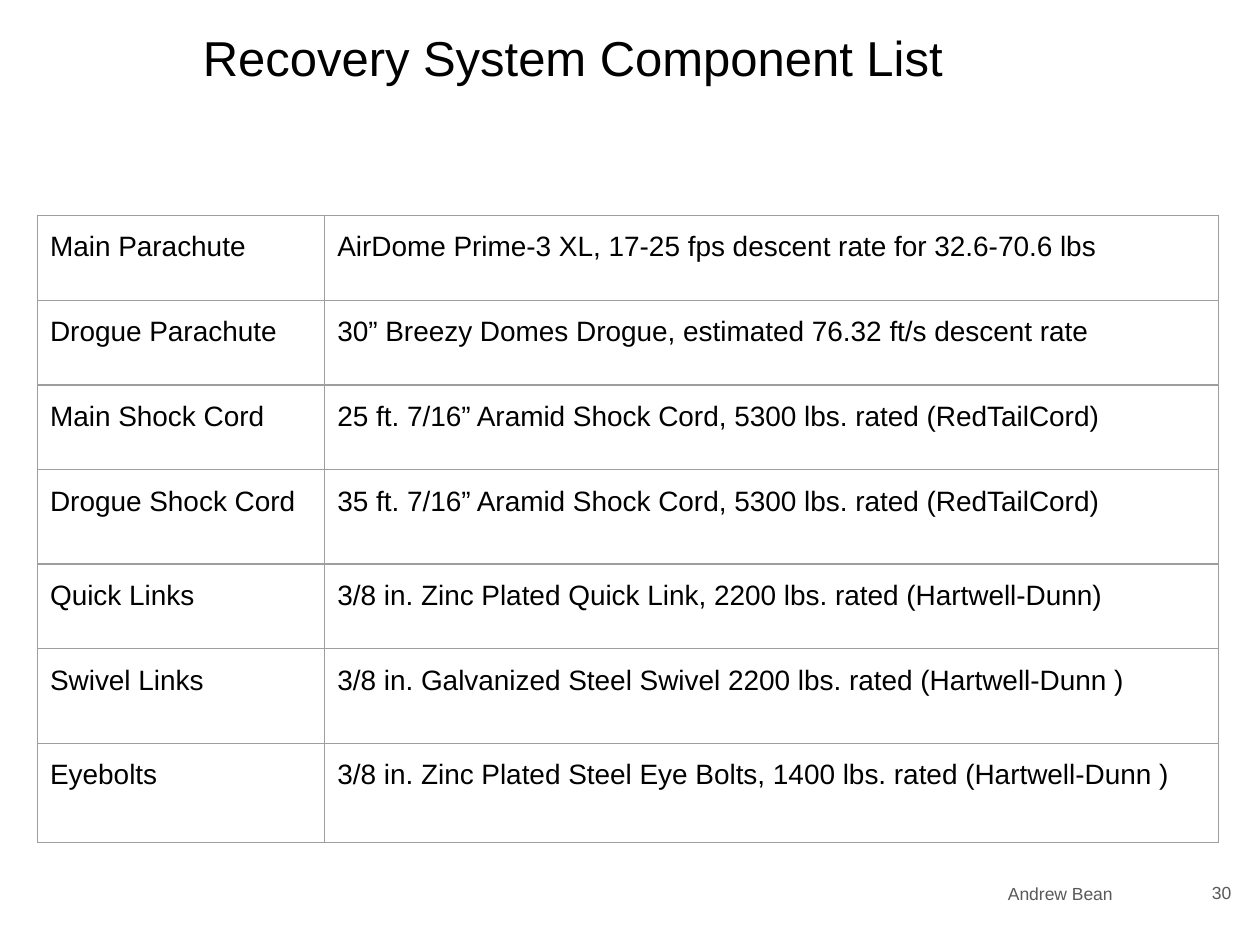
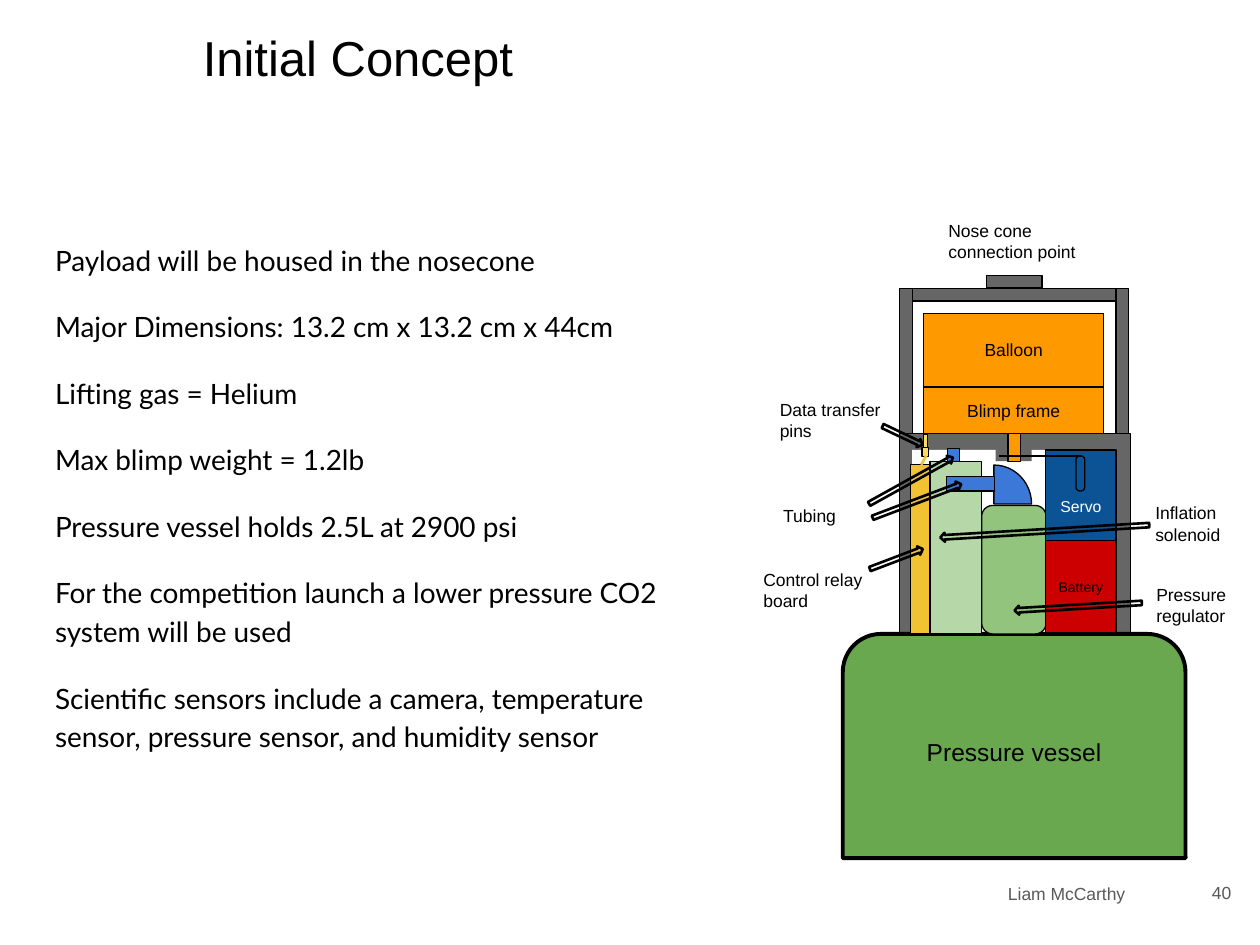
from dataclasses import dataclass
from typing import Optional

from lxml.etree import SubElement
from pptx import Presentation
from pptx.dml.color import RGBColor
from pptx.enum.shapes import MSO_CONNECTOR, MSO_SHAPE as Preset
from pptx.enum.text import MSO_ANCHOR as Anchor, PP_ALIGN as Align
from pptx.oxml.ns import qn
from pptx.util import Cm, Pt

# Colours
BLACK = RGBColor(0x00, 0x00, 0x00)
WHITE = RGBColor(0xFF, 0xFF, 0xFF)
FOOTER_GREY = RGBColor(0x59, 0x59, 0x59)
BORDER_GREY = RGBColor(0x9E, 0x9E, 0x9E)
STEEL = RGBColor(0x66, 0x66, 0x66)
VESSEL_GREEN = RGBColor(0x6A, 0xA8, 0x4F)
REGULATOR_GREEN = RGBColor(0x93, 0xC4, 0x7D)
SOLENOID_GREEN = RGBColor(0xB6, 0xD7, 0xA8)
TUBE_BLUE = RGBColor(0x3C, 0x78, 0xD8)
SERVO_BLUE = RGBColor(0x0B, 0x53, 0x94)
BATTERY_RED = RGBColor(0xCC, 0x00, 0x00)
ORANGE = RGBColor(0xFF, 0x99, 0x00)
RELAY_YELLOW = RGBColor(0xF1, 0xC2, 0x32)
PIN_YELLOW = RGBColor(0xFF, 0xD9, 0x66)

SANS, BODY = "Arial", "Lato"
INSET = Cm(0.25)
ARROW_HEIGHT = 0.18

Box = tuple[float, float, float, float]  # left, top, width, height in cm


@dataclass
class Part:
    box: Box
    fill: RGBColor
    text: str = ""
    size: float = 10
    color: RGBColor = BLACK
    preset: Preset = Preset.RECTANGLE
    adjustments: tuple[float, ...] = ()
    line: float = 0.75
    rotation: float = 0
    top_inset: float = 0.25


@dataclass
class Arrow:
    left: float
    top: float
    width: float
    rotation: float


@dataclass
class Wire:
    start: tuple[float, float]
    end: tuple[float, float]
    color: RGBColor
    width: float


@dataclass
class Label:
    text: str
    box: Box


COMPONENTS = [
    ("Main Parachute", "AirDome Prime-3 XL, 17-25 fps descent rate for 32.6-70.6 lbs", 1.71),
    ("Drogue Parachute", "30” Breezy Domes Drogue, estimated 76.32 ft/s descent rate", 1.71),
    ("Main Shock Cord", "25 ft. 7/16” Aramid Shock Cord, 5300 lbs. rated (RedTailCord)", 1.71),
    ("Drogue Shock Cord", "35 ft. 7/16” Aramid Shock Cord, 5300 lbs. rated (RedTailCord)", 1.9),
    ("Quick Links", "3/8 in. Zinc Plated Quick Link, 2200 lbs. rated (Hartwell-Dunn)", 1.71),
    ("Swivel Links", "3/8 in. Galvanized Steel Swivel 2200 lbs. rated (Hartwell-Dunn )", 1.9),
    ("Eyebolts", "3/8 in. Zinc Plated Steel Eye Bolts, 1400 lbs. rated (Hartwell-Dunn )", 2.0),
]

CONCEPT_POINTS = [
    "Payload will be housed in the nosecone",
    "Major Dimensions: 13.2 cm x 13.2 cm x 44cm",
    "Lifting gas = Helium",
    "Max blimp weight = 1.2lb",
    "Pressure vessel holds 2.5L at 2900 psi",
    "For the competition launch a lower pressure CO2 system will be used",
    "Scientific sensors include a camera, temperature sensor, pressure sensor, "
    "and humidity sensor",
]

# Payload parts, from back to front
PARTS = [
    # Housing
    Part((18.19, 5.82, 4.47, 0.25), STEEL),
    Part((22.5, 5.82, 0.25, 2.95), STEEL),
    Part((18.14, 5.82, 0.25, 2.95), STEEL),
    Part((18.14, 8.74, 4.65, 4.04), STEEL),
    Part((18.39, 9.07, 4.11, 3.71), WHITE, line=0),
    # Pressure vessel, regulator and elbow
    Part((16.99, 12.78, 6.91, 4.52), VESSEL_GREEN, "Pressure vessel", 14,
         preset=Preset.ROUND_2_SAME_RECTANGLE, adjustments=(0.17, 0), line=2.25),
    Part((19.79, 10.19, 1.3, 2.59), REGULATOR_GREEN,
         preset=Preset.ROUNDED_RECTANGLE, adjustments=(0.17,)),
    Part((19.25, 9.4, 1.57, 1.52), TUBE_BLUE, preset=Preset.PIE,
         adjustments=(108, 162), rotation=90),
    # Servo, battery and blimp
    Part((21.08, 9.07, 1.42, 1.85), SERVO_BLUE, "Servo", 9, WHITE, top_inset=0.66),
    Part((21.08, 10.9, 1.42, 1.85), BATTERY_RED, "Battery", 8),
    Part((18.62, 7.8, 3.63, 0.94), ORANGE, "Blimp frame"),
    Part((18.62, 6.32, 3.63, 1.47), ORANGE, "Balloon"),
    Part((21.69, 9.19, 0.18, 0.71), SERVO_BLUE,
         preset=Preset.ROUNDED_RECTANGLE, adjustments=(0.45,)),
    # Tubing, solenoid, relay board and pins
    Part((19.1, 9.04, 0.25, 0.3), TUBE_BLUE),
    Part((18.75, 9.3, 1.04, 3.48), SOLENOID_GREEN),
    Part((19.08, 9.6, 0.97, 0.3), TUBE_BLUE),
    Part((18.36, 9.37, 0.38, 3.4), RELAY_YELLOW),
    Part((18.62, 8.76, 0.08, 0.33), PIN_YELLOW),
    Part((18.59, 9.02, 0.13, 0.18), PIN_YELLOW),
    # Release latch and nose cone connection
    Part((20.07, 8.97, 0.25, 0.33), STEEL, line=0),
    Part((20.55, 8.97, 0.25, 0.33), STEEL, line=0),
    Part((20.32, 8.74, 0.25, 0.56), ORANGE),
    Part((19.89, 5.56, 1.12, 0.25), STEEL),
]

WIRES = [
    Wire((18.67, 9.19), (18.57, 9.37), RELAY_YELLOW, 1.5),
    Wire((20.14, 9.19), (21.82, 9.19), BLACK, 0.75),
]

ARROWS = [
    Arrow(17.53, 10.01, 1.91, 339.2),
    Arrow(17.4, 9.6, 1.93, 331),
    Arrow(17.75, 8.69, 0.89, 25.4),
    Arrow(17.5, 11.18, 1.14, 339.2),
    Arrow(18.95, 10.62, 4.22, 176.6),
    Arrow(20.45, 12.14, 2.57, 176.6),
]

LABELS = [
    Label("Tubing", (15.54, 9.96, 2.11, 0.94)),
    Label("Data transfer pins", (15.47, 7.8, 2.69, 1.37)),
    Label("Control relay board", (15.14, 11.23, 2.69, 1.37)),
    Label("Inflation solenoid", (23.04, 9.88, 2.11, 1.37)),
    Label("Pressure regulator", (23.06, 11.53, 2.11, 1.37)),
    Label("Nose cone connection point", (18.87, 4.19, 3.18, 1.37)),
]


def style(paragraph, size: float, color: RGBColor = BLACK, font: str = SANS,
          align: Align = Align.LEFT) -> None:
    paragraph.alignment = align
    paragraph.font.size = Pt(size)
    paragraph.font.name = font
    paragraph.font.color.rgb = color


def set_insets(frame, top: float = 0.25) -> None:
    frame.margin_left = frame.margin_right = frame.margin_bottom = INSET
    frame.margin_top = Cm(top)


def add_text(slide, box: Box, lines: list[str], size: float, color: RGBColor = BLACK,
             font: str = SANS, align: Align = Align.LEFT, anchor: Anchor = Anchor.TOP,
             spacing: Optional[float] = None, before: float = 0) -> None:
    frame = slide.shapes.add_textbox(*map(Cm, box)).text_frame
    frame.word_wrap = True
    frame.vertical_anchor = anchor
    set_insets(frame)
    for index, line in enumerate(lines):
        paragraph = frame.add_paragraph() if index else frame.paragraphs[0]
        paragraph.text = line
        style(paragraph, size, color, font, align)
        paragraph.line_spacing = spacing
        if index and before:
            paragraph.space_before = Pt(before)


def add_base_slide(presentation, title: str, author: str, number: int):
    """Add a blank slide with the shared title and footer."""
    slide = presentation.slides.add_slide(presentation.slide_layouts[6])
    add_text(slide, (3.84, 0.3, 20.7, 2.11), [title], 28)
    add_text(slide, (20.07, 17.45, 4.14, 1.12), [author], 10, FOOTER_GREY,
             anchor=Anchor.MIDDLE)
    add_text(slide, (23.55, 17.27, 1.52, 1.45), [str(number)], 10, FOOTER_GREY,
             align=Align.RIGHT, anchor=Anchor.MIDDLE)
    return slide


def add_borders(cell) -> None:
    properties = cell._tc.get_or_add_tcPr()
    for index, side in enumerate(("lnL", "lnR", "lnT", "lnB")):
        line = properties.makeelement(qn(f"a:{side}"), {"w": str(Pt(0.75))})
        fill = SubElement(line, qn("a:solidFill"))
        SubElement(fill, qn("a:srgbClr"), val=str(BORDER_GREY))
        properties.insert(index, line)


def add_component_table(slide) -> None:
    widths = (5.79, 18.01)
    height = sum(row[2] for row in COMPONENTS)
    table = slide.shapes.add_table(len(COMPONENTS), len(widths), Cm(0.76), Cm(4.34),
                                   Cm(sum(widths)), Cm(height)).table
    table.first_row = table.horz_banding = False
    for column, width in zip(table.columns, widths):
        column.width = Cm(width)
    for row, (name, description, row_height) in zip(table.rows, COMPONENTS):
        row.height = Cm(row_height)
        for cell, text in zip(row.cells, (name, description)):
            cell.text = text
            cell.margin_left = cell.margin_right = INSET
            cell.margin_top = cell.margin_bottom = Cm(0.33)
            style(cell.text_frame.paragraphs[0], 16)
            cell.fill.background()
            add_borders(cell)


def add_part(slide, part: Part) -> None:
    shape = slide.shapes.add_shape(part.preset, *map(Cm, part.box))
    shape.shadow.inherit = False
    shape.rotation = part.rotation
    for index, value in enumerate(part.adjustments):
        shape.adjustments[index] = value
    shape.fill.solid()
    shape.fill.fore_color.rgb = part.fill
    if part.line:
        shape.line.color.rgb = BLACK
        shape.line.width = Pt(part.line)
    else:
        shape.line.fill.background()
    if part.text:
        frame = shape.text_frame
        frame.word_wrap = False
        frame.vertical_anchor = Anchor.MIDDLE
        set_insets(frame, part.top_inset)
        frame.text = part.text
        style(frame.paragraphs[0], part.size, part.color, align=Align.CENTER)


def add_wire(slide, wire: Wire) -> None:
    connector = slide.shapes.add_connector(
        MSO_CONNECTOR.STRAIGHT, *map(Cm, wire.start + wire.end))
    connector.line.color.rgb = wire.color
    connector.line.width = Pt(wire.width)
    SubElement(connector._element.spPr, qn("a:effectLst"))


def add_arrow(slide, arrow: Arrow) -> None:
    shape = slide.shapes.add_shape(Preset.RIGHT_ARROW, Cm(arrow.left), Cm(arrow.top),
                                   Cm(arrow.width), Cm(ARROW_HEIGHT))
    shape.shadow.inherit = False
    shape.rotation = arrow.rotation
    shape.fill.background()
    shape.line.color.rgb = BLACK
    shape.line.width = Pt(1.5)


def main() -> None:
    presentation = Presentation()
    presentation.slide_width, presentation.slide_height = Cm(25.4), Cm(19.05)

    # Component list
    slide = add_base_slide(presentation, "Recovery System Component List", "Andrew Bean", 30)
    add_component_table(slide)

    # Concept points and payload diagram
    slide = add_base_slide(presentation, "Initial Concept", "Liam McCarthy", 40)
    add_text(slide, (0.86, 4.55, 13.59, 12.72), CONCEPT_POINTS, 16, font=BODY,
             spacing=1.15, before=16)
    for part in PARTS:
        add_part(slide, part)
    for wire in WIRES:
        add_wire(slide, wire)
    for arrow in ARROWS:
        add_arrow(slide, arrow)
    for label in LABELS:
        add_text(slide, label.box, [label.text], 10)

    presentation.save("out.pptx")


if __name__ == "__main__":
    main()
